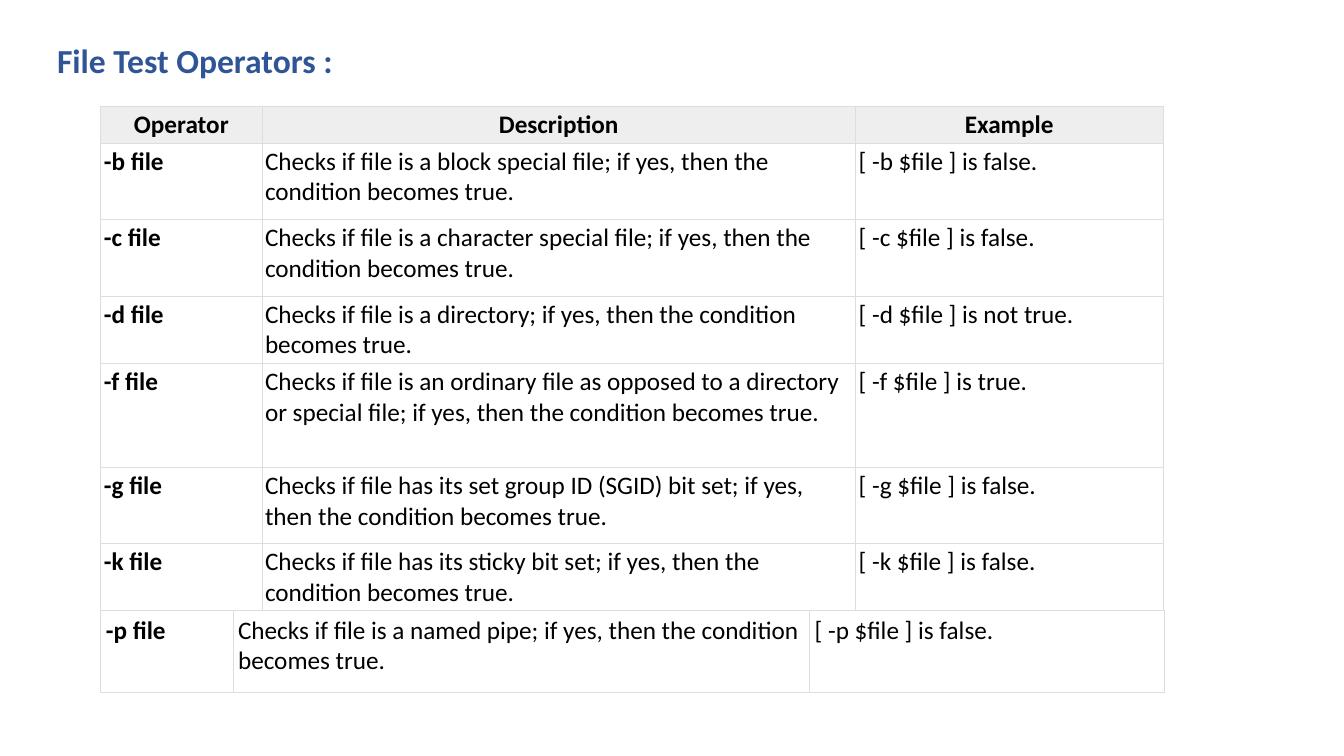
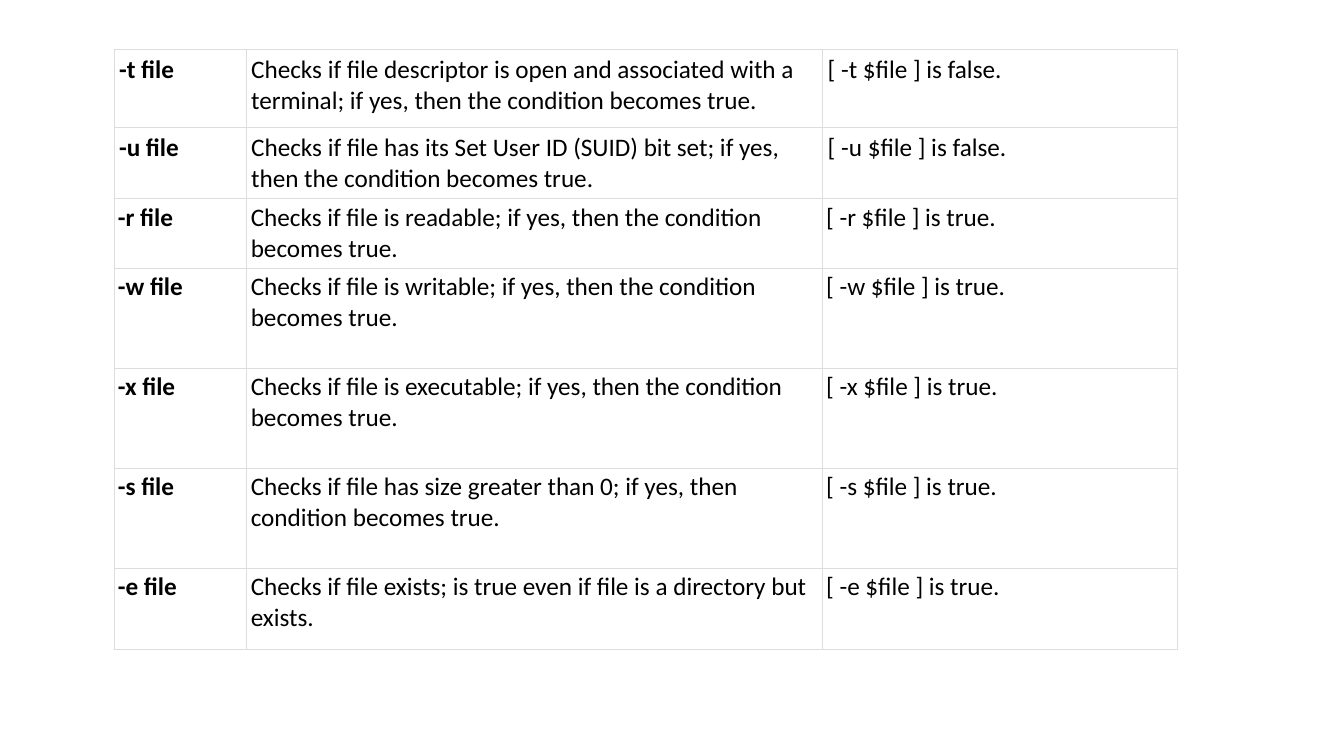
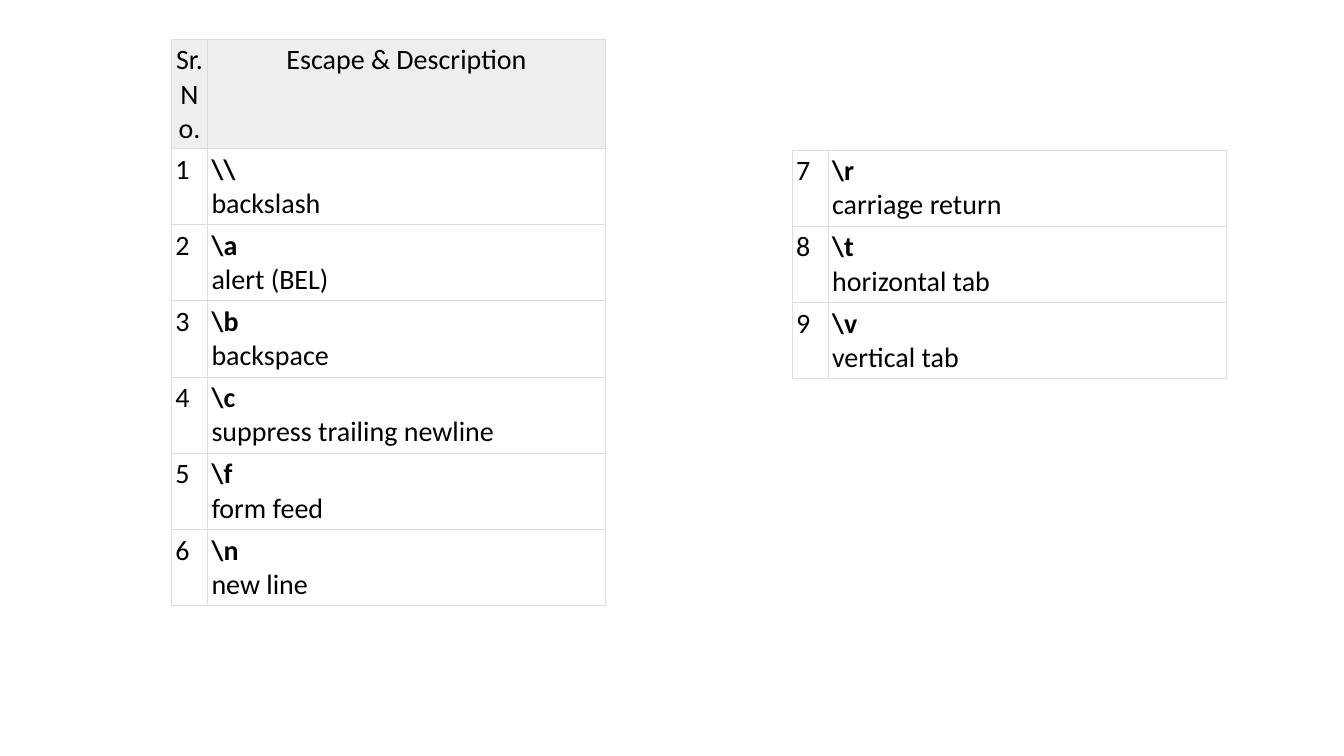
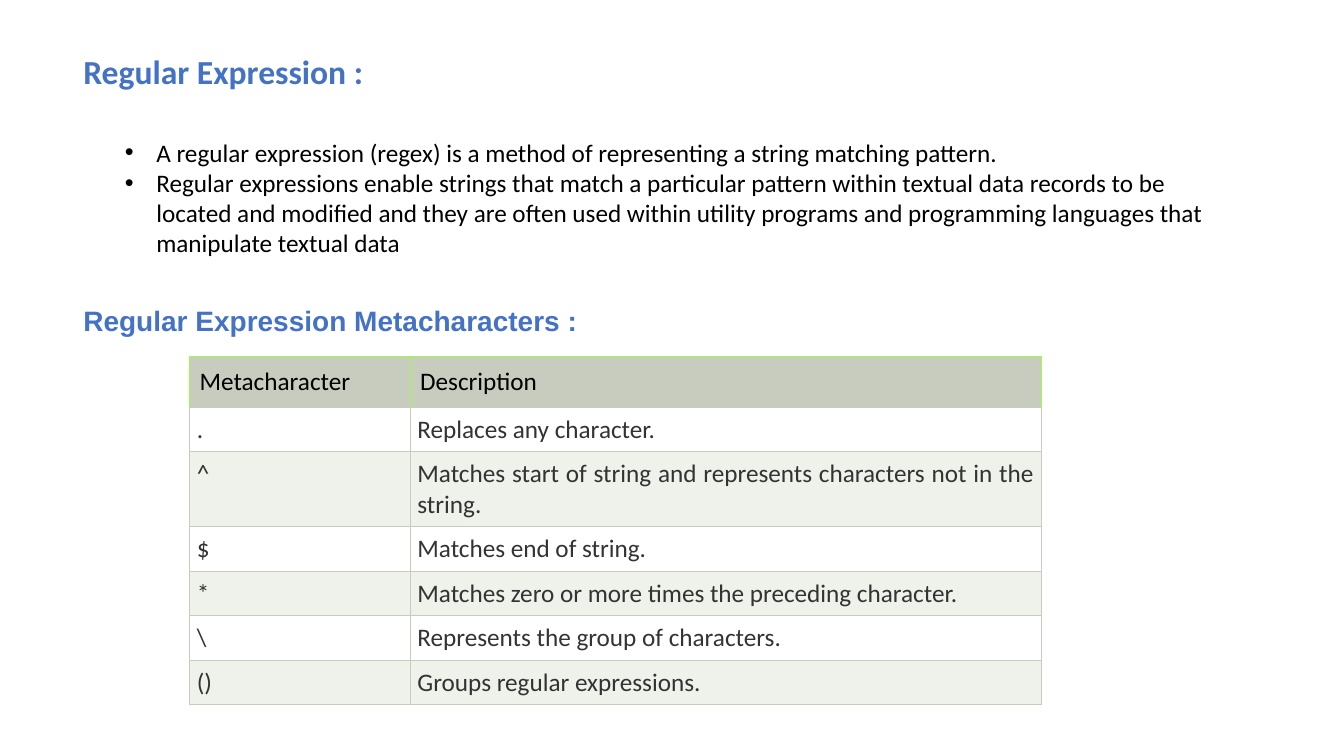
import itertools

import pptx
import pptx.dml.color
import pptx.enum.text
import pptx.oxml
import pptx.oxml.ns
import pptx.util

Cm, Pt = pptx.util.Cm, pptx.util.Pt
ALIGN = pptx.enum.text.PP_ALIGN

COLOURS = {
    "text": "000000",
    "soft text": "333333",
    "dark blue": "2F5597",
    "blue": "4472C4",
    "rule": "DDDDDD",
    "header": "EEEEEE",
    "sage": "C7CCBE",
    "pale sage": "EFF1EB",
    "lime": "A0FB48",
    "white": "FFFFFF",
}


def rgb(colour):
    return pptx.dml.color.RGBColor.from_string(COLOURS[colour])


def add_bullet(paragraph, indent=0.79):
    properties = paragraph._p.get_or_add_pPr()
    properties.set("marL", str(Cm(indent)))
    properties.set("indent", str(-Cm(indent)))
    for tag in ('buFont typeface="Arial"', 'buChar char="•"'):
        properties.append(pptx.oxml.parse_xml(f'<a:{tag} {pptx.oxml.ns.nsdecls("a")}/>'))


def write(frame, text, size=18, font="Calibri", colour="text", bold=False,
          lead_bold=False, align=ALIGN.LEFT, bullet=False):
    """Fill a text frame, one paragraph per line of text."""
    for number, line in enumerate(text.split("\n")):
        paragraph = frame.add_paragraph() if number else frame.paragraphs[0]
        paragraph.alignment = align
        if bullet:
            add_bullet(paragraph)
        run = paragraph.add_run()
        run.text = line
        run.font.size = Pt(size)
        run.font.name = font
        run.font.bold = bold or (lead_bold and number == 0)
        run.font.color.rgb = rgb(colour)


class Deck:
    """Holds the shared style and the current slide."""

    edge_width = Pt(0.6)

    def __init__(self):
        self.presentation = pptx.Presentation()
        self.presentation.slide_width = Cm(33.87)
        self.presentation.slide_height = Cm(19.05)
        self.slide = None

    def new_slide(self):
        self.slide = self.presentation.slides.add_slide(self.presentation.slide_layouts[6])

    def text(self, left, top, width, height, text, **style):
        frame = self.slide.shapes.add_textbox(Cm(left), Cm(top), Cm(width), Cm(height)).text_frame
        frame.word_wrap = True
        frame.auto_size = pptx.enum.text.MSO_AUTO_SIZE.SHAPE_TO_FIT_TEXT
        write(frame, text, **style)

    def heading(self, left, top, text, size=24, **style):
        self.text(left, top, 16.9, 1.2, text, size=size, bold=True, **style)

    def cell(self, cell, text, margin, fill, edges, style):
        cell.margin_left = cell.margin_right = Cm(margin)
        cell.margin_top = cell.margin_bottom = Cm(margin)
        properties = cell._tc.get_or_add_tcPr()
        for side, colour in zip("LRTB", edges):
            properties.append(pptx.oxml.parse_xml(
                f'<a:ln{side} {pptx.oxml.ns.nsdecls("a")} w="{self.edge_width}"><a:solidFill>'
                f'<a:srgbClr val="{COLOURS[colour]}"/></a:solidFill></a:ln{side}>'))
        if fill:
            cell.fill.solid()
            cell.fill.fore_color.rgb = rgb(fill)
        else:
            cell.fill.background()
        write(cell.text_frame, text, **style)

    def table(self, left, top, widths, heights, rows, columns, margin,
              edges=("rule",) * 4, fills=(None,), header=None):
        """columns: text format per column; header: cell settings of the first row."""
        table = self.slide.shapes.add_table(
            len(rows), len(widths), Cm(left), Cm(top), Cm(sum(widths)), Cm(sum(heights))).table
        table.first_row = table.horz_banding = False
        for column, width in zip(table.columns, widths):
            column.width = Cm(width)
        for row, height in zip(table.rows, heights):
            row.height = Cm(height)
        body_fills = itertools.cycle(fills)
        for number, (row, texts) in enumerate(zip(table.rows, rows)):
            if header and number == 0:
                settings = [{"margin": margin, "edges": edges, **header}] * len(widths)
            else:
                fill = next(body_fills)
                settings = [{"margin": margin, "edges": edges, "fill": fill, "style": style}
                            for style in columns]
            for cell, text, setting in zip(row.cells, texts, settings):
                self.cell(cell, text, **setting)


OPERATOR_COLUMNS = ({"bold": True}, {}, {})
OPERATOR_WIDTHS = (3.33, 14.53, 8.94)


def operator_rows(*operators):
    return [(f"-{flag} file", f"Checks if file {check}", f"[ -{flag} $file ] is {result}.")
            for flag, check, result in operators]


def operators_slide(deck):
    deck.new_slide()
    deck.heading(1.19, 0.89, "File Test Operators :", colour="dark blue")
    rows = [("Operator", "Description", "Example")] + operator_rows(
        ("b", "is a block special file; if yes, then the condition becomes true.", "false"),
        ("c", "is a character special file; if yes, then the condition becomes true.", "false"),
        ("d", "is a directory; if yes, then the condition becomes true.", "not true"),
        ("f", "is an ordinary file as opposed to a directory or special file; "
              "if yes, then the condition becomes true.", "true"),
        ("g", "has its set group ID (SGID) bit set; if yes, then the condition becomes true.",
         "false"),
        ("k", "has its sticky bit set; if yes, then the condition becomes true.", "false"))
    deck.table(2.54, 2.67, (4.06, 14.96, 7.75), (0.93, 1.93, 1.93, 1.69, 2.62, 1.93, 1.69),
               rows, OPERATOR_COLUMNS, margin=0.08,
               header={"fill": "header", "style": {"bold": True, "align": ALIGN.CENTER}})
    pipe = operator_rows(
        ("p", "is a named pipe; if yes, then the condition becomes true.", "false"))
    deck.table(2.54, 15.37, OPERATOR_WIDTHS, (2.08,), pipe, OPERATOR_COLUMNS, margin=0.13)


def more_operators_slide(deck):
    deck.new_slide()
    descriptor_and_user = operator_rows(
        ("t", "descriptor is open and associated with a terminal; "
              "if yes, then the condition becomes true.", "false"),
        ("u", "has its Set User ID (SUID) bit set; if yes, then the condition becomes true.",
         "false"))
    deck.table(2.87, 1.24, OPERATOR_WIDTHS, (1.97, 1.78), descriptor_and_user,
               OPERATOR_COLUMNS, margin=0.13)
    access = operator_rows(
        ("r", "is readable; if yes, then the condition becomes true.", "true"),
        ("w", "is writable; if yes, then the condition becomes true.", "true"),
        ("x", "is executable; if yes, then the condition becomes true.", "true"),
        ("s", "has size greater than 0; if yes, then condition becomes true.", "true"),
        ("e", "exists; is true even if file is a directory but exists.", "true"))
    deck.table(2.87, 5, (3.35, 14.5, 8.94), (1.75, 2.52, 2.52, 2.52, 2.06), access,
               OPERATOR_COLUMNS, margin=0.1)


def escapes_slide(deck):
    deck.new_slide()
    escapes = [(r"\\", "backslash"), (r"\a", "alert (BEL)"), (r"\b", "backspace"),
               (r"\c", "suppress trailing newline"), (r"\f", "form feed"), (r"\n", "new line"),
               (r"\r", "carriage return"), (r"\t", "horizontal tab"), (r"\v", "vertical tab")]
    rows = [(str(number), f"{escape}\n{meaning}")
            for number, (escape, meaning) in enumerate(escapes, 1)]
    columns = ({"size": 20}, {"size": 20, "lead_bold": True, "align": ALIGN.JUSTIFY})
    widths, row_height, first_part = (0.91, 10.03), 1.92, 6
    deck.table(4.32, 0.99, widths, [2.75] + [row_height] * first_part,
               [("Sr.No.", "Escape & Description")] + rows[:first_part], columns, margin=0.1,
               header={"fill": "header", "style": {"size": 20, "align": ALIGN.CENTER}})
    rest = rows[first_part:]
    deck.table(19.96, 3.78, widths, [row_height] * len(rest), rest, columns, margin=0.1)


def regex_slide(deck):
    deck.new_slide()
    deck.heading(1.85, 1.17, "Regular Expression :", colour="blue")
    deck.text(2.9, 3.33, 28.6, 3.33,
              "A regular expression (regex) is a method of representing a string matching pattern.\n"
              "Regular expressions enable strings that match a particular pattern within textual "
              "data records to be located and modified and they are often used within utility "
              "programs and programming languages that manipulate textual data", bullet=True)
    deck.heading(1.85, 7.52, "Regular Expression Metacharacters :", size=20, font="Arial",
                 colour="blue", align=ALIGN.JUSTIFY)
    rows = [("Metacharacter", "Description"),
            (".", "Replaces any character."),
            ("^", "Matches start of string and represents characters not in the string."),
            ("$", "Matches end of string."),
            ("*", "Matches zero or more times the preceding character."),
            ("\\", "Represents the group of characters."),
            ("()", "Groups regular expressions.")]
    body = {"colour": "soft text", "align": ALIGN.JUSTIFY}
    deck.table(4.78, 8.99, (5.56, 15.9), (1.27, 1.1, 1.88, 1.1, 1.1, 1.1, 1.1), rows,
               (body, body), margin=0.18, edges=("sage",) * 4, fills=("white", "pale sage"),
               header={"fill": "sage", "margin": 0.25, "style": {},
                       "edges": ("lime", "lime", "lime", "sage")})


def main():
    deck = Deck()
    for build in (operators_slide, more_operators_slide, escapes_slide, regex_slide):
        build(deck)
    deck.presentation.save("out.pptx")


if __name__ == "__main__":
    main()
